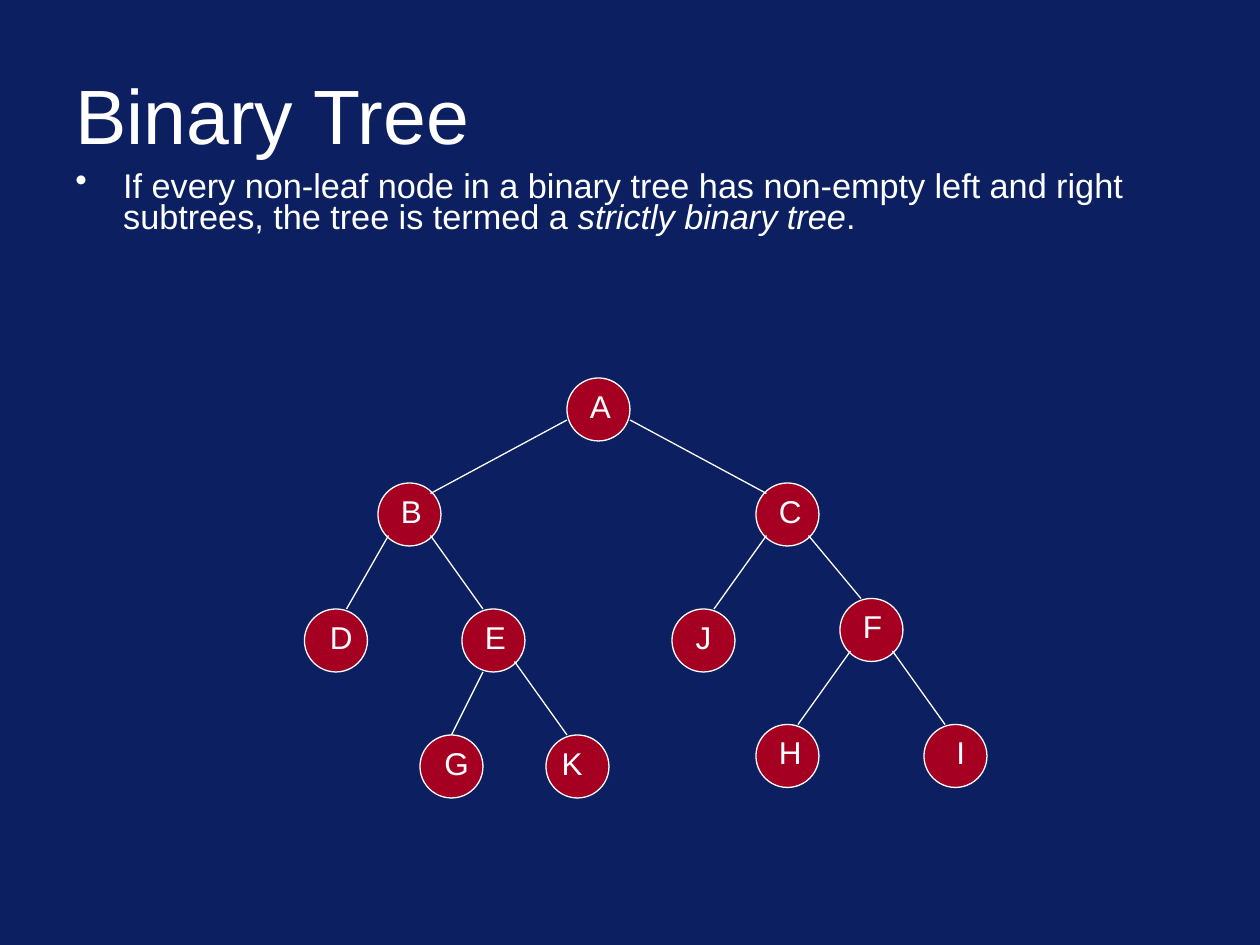
from lxml import etree
from pptx import Presentation
from pptx.dml.color import RGBColor
from pptx.enum.shapes import MSO_CONNECTOR, MSO_SHAPE
from pptx.enum.text import MSO_ANCHOR, PP_ALIGN
from pptx.oxml.ns import qn
from pptx.util import Inches, Pt

OVAL = MSO_SHAPE.OVAL
STRAIGHT = MSO_CONNECTOR.STRAIGHT
MIDDLE = MSO_ANCHOR.MIDDLE
CENTER = PP_ALIGN.CENTER

NAVY, RED, WHITE = "0B1F61", "A50021", "FFFFFF"
UNITS_PER_INCH = 12
NODE_SIZE = 6
LABEL_HEIGHT = 4.8
LABEL_DROP = 0.25

# letter: node column, node row, label indent, label width
NODES = {
    "A": (54, 36, 1, 4),
    "B": (36, 46, 1, 4),
    "C": (72, 46, 1, 4),
    "D": (29, 58, 1, 5),
    "E": (44, 58, 1, 4),
    "J": (64, 58, 1, 4),
    "F": (80, 57, 1, 4),
    "G": (40, 70, 1, 5),
    "K": (52, 70, 0, 5),
    "H": (72, 69, 1, 4),
    "I": (88, 69, 1, 5),
}
BRANCHES = [
    (54, 40, 41, 47), (60, 40, 73, 47),
    (37, 51, 33, 58), (41, 51, 46, 58),
    (73, 51, 68, 58), (77, 51, 82, 57),
    (46, 64, 43, 70), (49, 63, 54, 70),
    (81, 62, 76, 69), (85, 62, 90, 69),
]
DEFINITION = [
    ("If every non-leaf node in a binary tree has non-empty left and right "
     "subtrees, the tree is termed a ", False),
    ("strictly binary tree", True),
    (".", False),
]


def color(hex_code):
    """Turn a hex string into a colour."""
    return RGBColor.from_string(hex_code)


def grid(units):
    """Turn grid units into a length."""
    return Inches(units / UNITS_PER_INCH)


def style_font(paragraph, size):
    """Set the common typeface on a paragraph."""
    paragraph.font.name = "Arial"
    paragraph.font.size = Pt(size)
    paragraph.font.color.rgb = color(WHITE)


def add_frame(slide, left, top, width, height):
    """Add a wrapping text box, measured in grid units."""
    frame = slide.shapes.add_textbox(*map(grid, (left, top, width, height))).text_frame
    frame.word_wrap = True
    return frame


def add_title(slide, title):
    """Add the slide heading."""
    frame = add_frame(slide, 6, 4.8, 108, 12)
    frame.vertical_anchor = MIDDLE
    heading = frame.paragraphs[0]
    heading.text = title
    style_font(heading, 44)


def add_definition(slide, phrases):
    """Add the bulleted definition with its italic term."""
    definition = add_frame(slide, 6, 16, 108, 7).paragraphs[0]
    definition.line_spacing = 0.75
    properties = definition._p.get_or_add_pPr()
    properties.set("marL", str(Inches(0.38)))
    properties.set("indent", str(-Inches(0.38)))
    etree.SubElement(properties, qn("a:buChar")).set("char", "•")
    style_font(definition, 19.6)
    for phrase, italic in phrases:
        run = definition.add_run()
        run.text = phrase
        run.font.italic = italic


def add_node(slide, letter, column, row, indent, label_width):
    """Add a tree node and its letter."""
    node = slide.shapes.add_shape(OVAL, grid(column), grid(row), grid(NODE_SIZE), grid(NODE_SIZE))
    node.shadow.inherit = False
    node.fill.solid()
    node.fill.fore_color.rgb = color(RED)
    node.line.color.rgb = color(WHITE)
    node.line.width = Pt(0.75)
    frame = add_frame(slide, column + indent, row + LABEL_DROP, label_width, LABEL_HEIGHT)
    label = frame.paragraphs[0]
    label.text = letter
    label.alignment = CENTER
    style_font(label, 18)


def add_branch(slide, ends):
    """Add a line between a parent and a child."""
    branch = slide.shapes.add_connector(STRAIGHT, *map(grid, ends))
    branch.line.color.rgb = color(WHITE)
    branch.line.width = Pt(0.75)
    etree.SubElement(branch._element.spPr, qn("a:effectLst"))


def main():
    """Build the binary tree slide."""
    deck = Presentation()
    deck.slide_width, deck.slide_height = Inches(10), Inches(7.5)
    slide = deck.slides.add_slide(deck.slide_layouts[6])
    slide.background.fill.solid()
    slide.background.fill.fore_color.rgb = color(NAVY)
    add_title(slide, "Binary Tree")
    add_definition(slide, DEFINITION)
    for letter, placement in NODES.items():
        add_node(slide, letter, *placement)
    for ends in BRANCHES:
        add_branch(slide, ends)
    deck.save("out.pptx")


if __name__ == "__main__":
    main()
